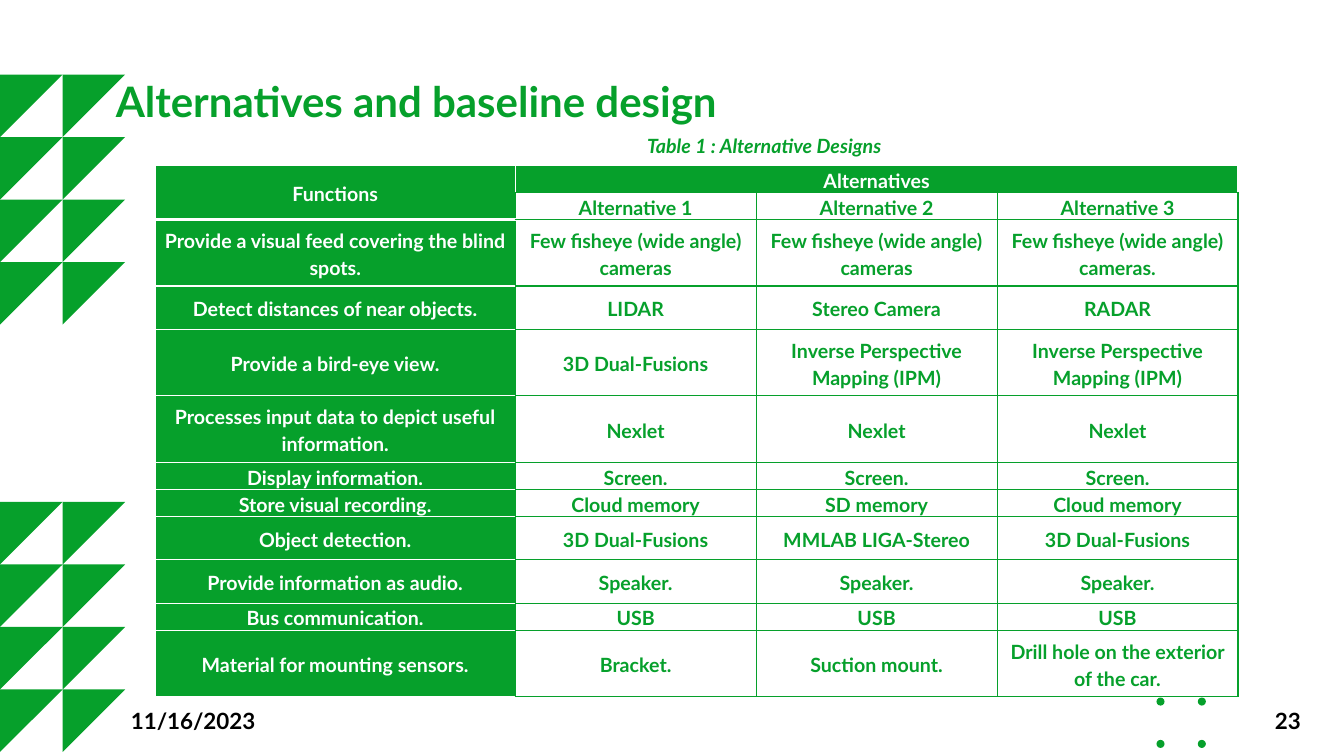
from itertools import product

from lxml import etree
from pptx import Presentation
from pptx.dml.color import RGBColor
from pptx.enum.shapes import MSO_SHAPE as Shape
from pptx.enum.text import MSO_ANCHOR as Anchor, PP_ALIGN as Align
from pptx.oxml.ns import qn
from pptx.util import Inches, Pt

GREEN = RGBColor(0x06, 0xA0, 0x2B)
WHITE = RGBColor(0xFF, 0xFF, 0xFF)
BLACK = RGBColor(0x00, 0x00, 0x00)

COLUMN_WIDTHS = [3.57, 2.39, 2.39, 2.39]
LOW, MIDDLE, TALL = 0.21, 0.43, 0.66
ROWS = [
    (LOW, "Functions", "Alternatives", "", ""),
    (LOW, "", "Alternative 1", "Alternative 2", "Alternative 3"),
    (TALL, "Provide a visual feed covering the blind spots.",
     "Few fisheye (wide angle) cameras", "Few fisheye (wide angle) cameras",
     "Few fisheye (wide angle) cameras."),
    (MIDDLE, "Detect distances of near objects.", "LIDAR", "Stereo Camera", "RADAR"),
    (TALL, "Provide a bird-eye view.", "3D Dual-Fusions",
     "Inverse Perspective Mapping (IPM)", "Inverse Perspective Mapping (IPM)"),
    (TALL, "Processes input data to depict useful information.",
     "Nexlet", "Nexlet", "Nexlet"),
    (LOW, "Display information.", "Screen.", "Screen.", "Screen."),
    (LOW, "Store visual recording.", "Cloud memory", "SD memory", "Cloud memory"),
    (MIDDLE, "Object detection.", "3D Dual-Fusions", "MMLAB LIGA-Stereo", "3D Dual-Fusions"),
    (MIDDLE, "Provide information as audio.", "Speaker.", "Speaker.", "Speaker."),
    (LOW, "Bus communication.", "USB", "USB", "USB"),
    (TALL, "Material for mounting sensors.", "Bracket.", "Suction mount.",
     "Drill hole on the exterior of the car."),
]


class SlideBuilder:
    font_name = "Lato"

    def __init__(self, page):
        self.page = page

    def style(self, para, size, color, align, italic=False):
        para.alignment = align
        para.font.name = self.font_name
        para.font.size = Pt(size)
        para.font.bold = True
        para.font.italic = italic
        para.font.color.rgb = color

    def text(self, words, left, top, width, height, size, color, align=Align.LEFT,
             anchor=Anchor.TOP, inset=0.05, wrap=True, italic=False):
        box = self.page.shapes.add_textbox(
            Inches(left), Inches(top), Inches(width), Inches(height))
        frame = box.text_frame
        frame.word_wrap = wrap
        frame.vertical_anchor = anchor
        frame.margin_top = frame.margin_bottom = Inches(inset)
        para = frame.paragraphs[0]
        para.text = words
        self.style(para, size, color, align, italic)

    def mark(self, kind, left, top, size, rotation=0):
        shape = self.page.shapes.add_shape(
            kind, Inches(left), Inches(top), Inches(size), Inches(size))
        shape.rotation = rotation
        shape.shadow.inherit = False
        shape.fill.solid()
        shape.fill.fore_color.rgb = GREEN
        shape.line.fill.background()

    def triangles(self, top, size=0.62):
        for column, row in product(range(2), range(4)):
            self.mark(Shape.RIGHT_TRIANGLE, column * size, top + row * size, size, 90)

    def border(self, cell, side, color, width):
        line = etree.SubElement(cell._tc.get_or_add_tcPr(), qn(f"a:ln{side}"), w=str(Pt(width)))
        fill = etree.SubElement(line, qn("a:solidFill"))
        etree.SubElement(fill, qn("a:srgbClr"), val=str(color))

    def cell(self, cell, words, fill, color, borders):
        for side in "LRTB":
            self.border(cell, side, *borders.get(side, (GREEN, 1)))
        cell.fill.solid()
        cell.fill.fore_color.rgb = fill
        cell.vertical_anchor = Anchor.MIDDLE
        cell.margin_left = cell.margin_right = Inches(0.07)
        cell.margin_top = cell.margin_bottom = 0
        para = cell.text_frame.paragraphs[0]
        para.text = words
        para.line_spacing = 1.15
        self.style(para, 14, color, Align.CENTER)

    def table(self, rows, left, top):
        heights = [row[0] for row in rows]
        table = self.page.shapes.add_table(
            len(rows), len(COLUMN_WIDTHS), Inches(left), Inches(top),
            Inches(sum(COLUMN_WIDTHS)), Inches(sum(heights))).table
        table.horz_banding = False
        for column, width in zip(table.columns, COLUMN_WIDTHS):
            column.width = Inches(width)
        for row, height in zip(table.rows, heights):
            row.height = Inches(height)
        table.cell(0, 0).merge(table.cell(1, 0))
        table.cell(0, 1).merge(table.cell(0, 3))
        thin = (WHITE, 1)
        for y, (_, *words) in enumerate(rows):
            for x, word in enumerate(words):
                borders = {}
                if x == 0:
                    borders = {"L": thin, "T": thin, "B": thin}
                    if y < 2:
                        borders.update(R=thin, B=(WHITE, 3))
                elif y == 0:
                    borders = {"L": thin, "T": thin, "R": thin}
                header = x == 0 or y == 0
                fill, color = (GREEN, WHITE) if header else (WHITE, GREEN)
                self.cell(table.cell(y, x), word, fill, color, borders)


def main():
    deck = Presentation()
    deck.slide_width, deck.slide_height = Inches(13.33), Inches(7.5)
    slide = SlideBuilder(deck.slides.add_slide(deck.slide_layouts[6]))
    for top in (0.74, 4.98):
        slide.triangles(top)
    for left, top in product((11.47, 11.88), (6.92, 7.34)):
        slide.mark(Shape.OVAL, left, top, 0.08)
    slide.text("Alternatives and baseline design", 1.05, 0.65, 11.23, 0.84, 30, GREEN, inset=0.1)
    slide.text("11/16/2023", 1.2, 6.95, 3, 0.4, 16, BLACK, anchor=Anchor.MIDDLE)
    slide.text("23", 10, 6.95, 3, 0.4, 16, BLACK, Align.RIGHT, Anchor.MIDDLE)
    slide.table(ROWS, 1.54, 1.64)
    slide.text("Table 1 : Alternative Designs", 6.32, 1.28, 2.85, 0.34, 14, GREEN,
               wrap=False, italic=True)
    deck.save("out.pptx")


if __name__ == "__main__":
    main()
